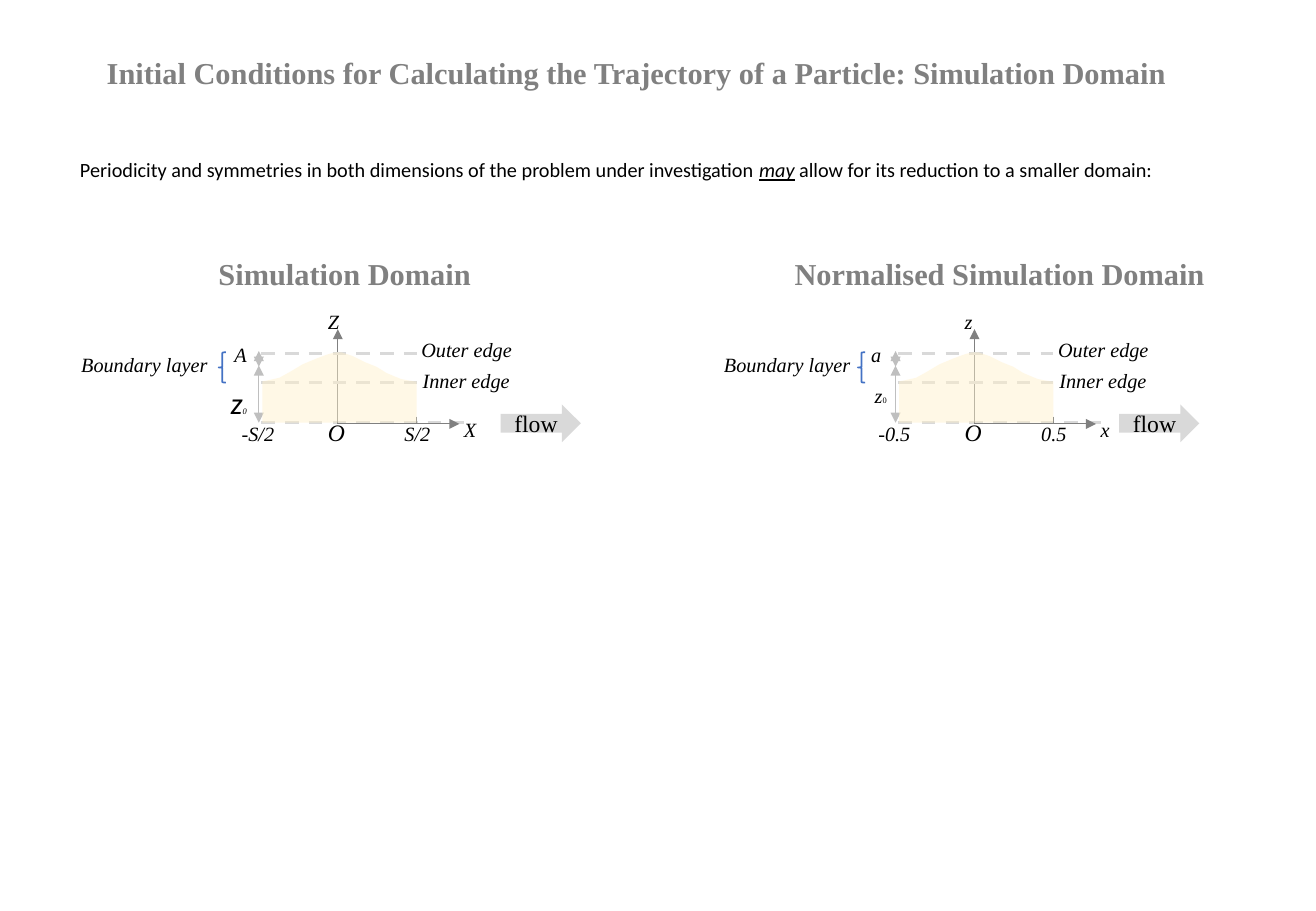
from pptx import Presentation
from pptx.dml.color import RGBColor
from pptx.enum.dml import MSO_LINE
from pptx.enum.shapes import MSO_CONNECTOR, MSO_SHAPE
from pptx.enum.text import MSO_ANCHOR, MSO_AUTO_SIZE, PP_ALIGN
from pptx.oxml.ns import qn
from pptx.util import Inches, Pt
from lxml.etree import SubElement

SERIF, SANS = "Times New Roman", "Calibri"
BLACK, GREY, SILVER, PALE = "000000", "808080", "BFBFBF", "D9D9D9"
BLUE, CREAM = "4472C4", "FFF2CC"


def color(code):
    return RGBColor.from_string(code)


class Page:
    def __init__(self, slide, font=SERIF):
        self.shapes = slide.shapes
        self.font = font

    def run(self, para, text, size=12, font=None, ink=BLACK,
            bold=False, italic=False, under=False):
        run = para.add_run()
        run.text = text
        face = run.font
        face.name, face.size = font or self.font, Pt(size)
        face.bold, face.italic, face.underline = bold, italic, under
        face.color.rgb = color(ink)

    def text(self, x, y, w, h, runs, wrap=False):
        box = self.shapes.add_textbox(Inches(x), Inches(y), Inches(w), Inches(h))
        frame = box.text_frame
        frame.word_wrap = wrap
        frame.auto_size = MSO_AUTO_SIZE.SHAPE_TO_FIT_TEXT
        for words, style in runs:
            self.run(frame.paragraphs[0], words, **style)

    def title(self, x, y, w, words, wrap=False):
        style = dict(size=18, ink=GREY, bold=True)
        self.text(x, y, w, 0.4, [(words, style)], wrap)

    def label(self, x, y, w, words, size=12):
        self.text(x, y, w, size / 40, [(words, dict(size=size, italic=True))])

    def line(self, start, end, ink=GREY, width=0.5, dash=False, ends=()):
        line = self.shapes.add_connector(
            MSO_CONNECTOR.STRAIGHT, *[Inches(v) for v in (*start, *end)])
        line.line.color.rgb = color(ink)
        line.line.width = Pt(width)
        if dash:
            line.line.dash_style = MSO_LINE.DASH
        for name in ends:
            SubElement(line.line._get_or_add_ln(), qn("a:" + name), type="triangle")
        SubElement(line._element.spPr, qn("a:effectLst"))

    def arrow(self, x, y, w, h, words):
        arrow = self.shapes.add_shape(
            MSO_SHAPE.RIGHT_ARROW, Inches(x), Inches(y), Inches(w), Inches(h))
        self.paint(arrow, PALE)
        frame = arrow.text_frame
        frame.word_wrap = False
        frame.vertical_anchor = MSO_ANCHOR.MIDDLE
        frame.paragraphs[0].alignment = PP_ALIGN.CENTER
        self.run(frame.paragraphs[0], words, size=14)

    def brace(self, x, y, w, h):
        brace = self.shapes.add_shape(
            MSO_SHAPE.LEFT_BRACE, Inches(x), Inches(y), Inches(w), Inches(h))
        brace.shadow.inherit = False
        brace.fill.background()
        brace.line.color.rgb = color(BLUE)
        brace.line.width = Pt(1)

    def area(self, points, fill, alpha):
        spots = [(Inches(x), Inches(y)) for x, y in points]
        form = self.shapes.build_freeform(*spots[0])
        form.add_line_segments(spots[1:], close=True)
        shape = form.convert_to_shape()
        self.paint(shape, fill)
        tint = shape._element.spPr.find(qn("a:solidFill"))[0]
        SubElement(tint, qn("a:alpha"), val=str(alpha * 1000))

    def paint(self, shape, fill):
        shape.shadow.inherit = False
        shape.fill.solid()
        shape.fill.fore_color.rgb = color(fill)
        shape.line.fill.background()


# Outline of the hill, left to right
HILL = [(2.16, 3.48), (2.16, 3.14), (2.21, 3.13), (2.3, 3.11), (2.39, 3.06),
        (2.49, 3), (2.61, 2.95), (2.69, 2.92), (2.76, 2.9), (2.81, 2.9),
        (2.9, 2.93), (3, 2.98), (3.1, 3.02), (3.18, 3.07), (3.25, 3.1),
        (3.3, 3.12), (3.35, 3.13), (3.41, 3.14), (3.43, 3.14), (3.43, 3.48)]


def domain(page, dx, axes, amp, half, depth, layer, brace, flow):
    # Ground, flow and axes
    page.line((dx + 2.15, 3.48), (dx + 3.82, 3.48), PALE, 2, dash=True)
    page.arrow(flow, 3.33, 0.66, 0.31, "flow")
    for end in ((2.78, 2.71), (3.78, 3.49)):
        page.line((dx + 2.78, 3.49), (dx + end[0], end[1]), ends=["tailEnd"])
    page.label(dx + 3.72, 3.39, 0.3, axes[0])
    page.label(dx + 2.6, 2.5, 0.29, axes[1])
    page.label(dx + 2.6, 3.39, 0.34, "O", 14)

    # Ticks and height marks
    page.line((dx + 3.43, 3.43), (dx + 3.43, 3.48))
    page.line((dx + 2.77, 2.91), (dx + 2.82, 2.91))
    for low, high in ((3.48, 3.01), (3.02, 2.89)):
        page.line((dx + 2.13, low), (dx + 2.13, high), SILVER,
                  ends=["headEnd", "tailEnd"])
    page.label(dx + 3.23, 3.42, 0.42, half)
    page.text(*depth)
    page.label(dx + 1.83, 2.77, 0.3, amp)

    # Boundary layer
    for y in (3.15, 2.91):
        page.line((dx + 2.15, y), (dx + 3.43, y), PALE, 2, dash=True)
    page.label(layer, 2.85, 1.26, "Boundary layer")
    page.brace(brace, 2.9, 0.06, 0.25)
    page.label(dx + 3.37, 2.73, 0.96, "Outer edge")
    page.label(dx + 3.38, 2.98, 0.93, "Inner edge")

    # Hill
    page.area([(dx + x, y) for x, y in HILL], CREAM, 48)
    page.label(dx + 1.89, 3.42, 0.47, "-" + half)


def main():
    deck = Presentation()
    deck.slide_width, deck.slide_height = Inches(10.83), Inches(7.5)
    page = Page(deck.slides.add_slide(deck.slide_layouts[6]))

    # Headings and lead
    page.title(0.78, 0.4, 9.97, "Initial Conditions for Calculating the Trajectory "
               "of a Particle: Simulation Domain", wrap=True)
    page.title(1.7, 2.05, 2.3, "Simulation Domain")
    page.title(6.44, 2.05, 3.61, "Normalised Simulation Domain")
    page.text(0.56, 1.25, 10.11, 0.3, [
        ("Periodicity and symmetries in both dimensions of the problem under "
         "investigation ", dict(font=SANS)),
        ("may", dict(font=SANS, italic=True, under=True)),
        (" allow for its reduction to a smaller domain:", dict(font=SANS)),
    ], wrap=True)

    # The two domains
    domain(page, 0, "XZ", "A", "S/2",
           (1.8, 3.11, 0.34, 0.4, [("z", dict(size=18, font=SANS, italic=True)),
                                   ("0", dict(size=5, italic=True))]),
           layer=0.57, brace=1.8, flow=4.12)
    domain(page, 5.24, "xz", "a", "0.5",
           (7.1, 3.11, 0.3, 0.3, [("z", dict(italic=True)), ("0", dict(size=5))]),
           layer=5.86, brace=7.06, flow=9.21)
    deck.save("out.pptx")


if __name__ == "__main__":
    main()
